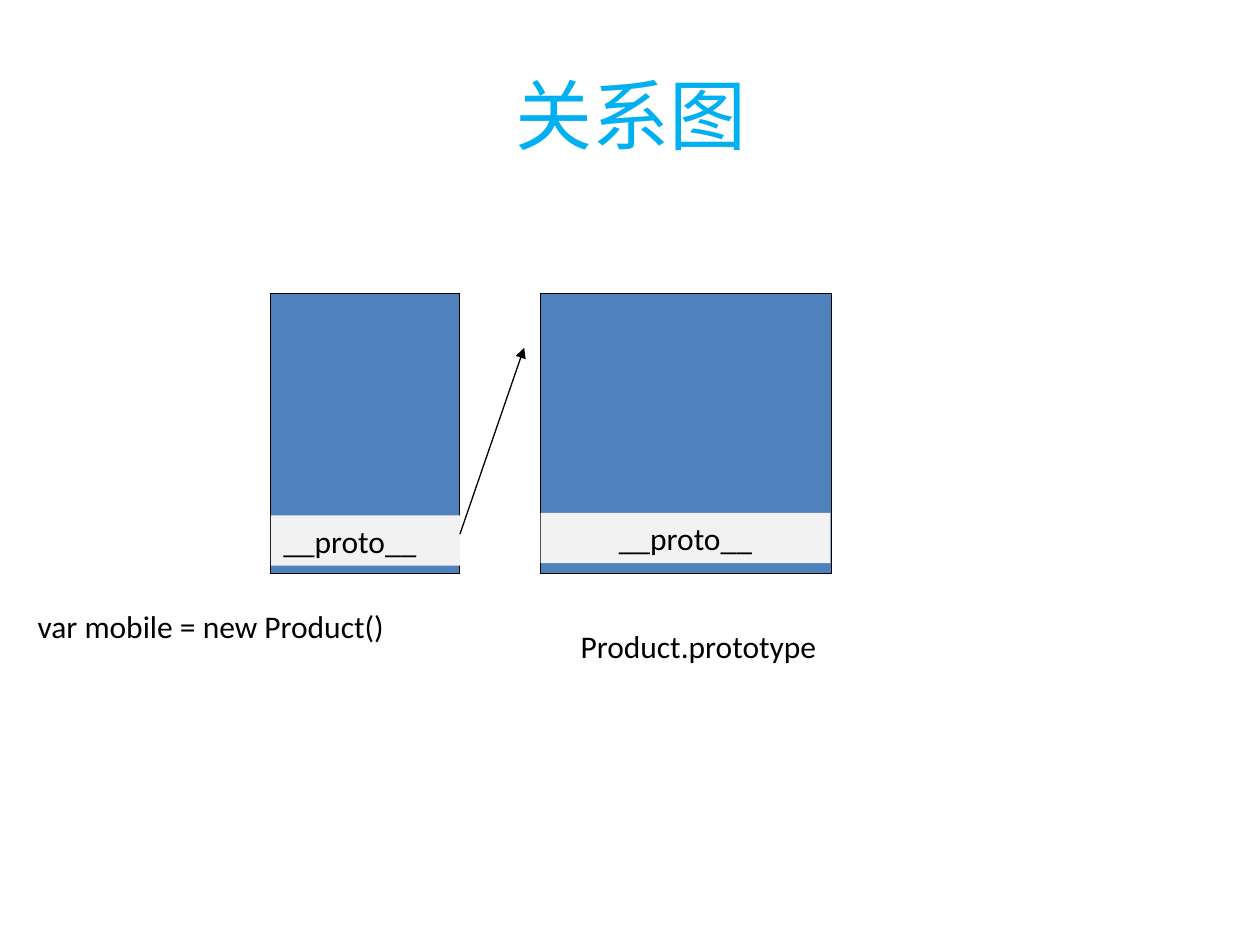
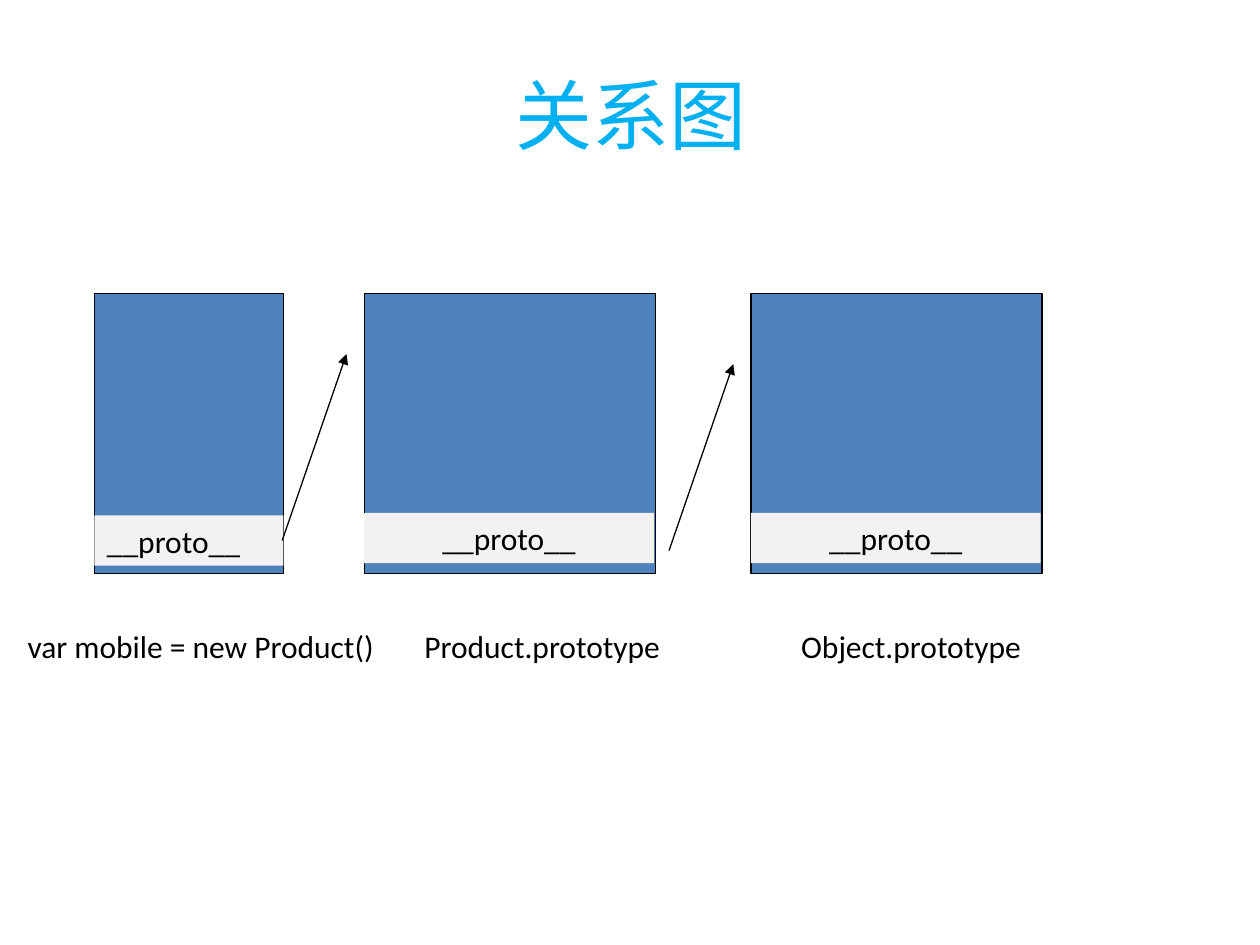
from pptx import Presentation
from pptx.dml.color import RGBColor
from pptx.enum.shapes import MSO_CONNECTOR, MSO_SHAPE
from pptx.enum.text import MSO_ANCHOR, MSO_AUTO_SIZE, PP_ALIGN
from pptx.oxml.ns import qn
from pptx.util import Inches, Pt
from lxml.etree import SubElement

# Content: each object is (kind, left, caption, caption left, caption top),
# each arrow is the point where it starts
TITLE = "关系图"
SLOT = "__proto__"
NEW_PRODUCT = "var mobile = new Product()"
DIAGRAMS = [
    {
        "objects": [
            ("instance", 2.15, NEW_PRODUCT, 0.2, 4.77),
            ("prototype", 4.29, "Product.prototype", 4.51, 4.93),
        ],
        "arrows": [(3.65, 4.24)],
    },
    {
        "objects": [
            ("instance", 0.75, NEW_PRODUCT, 0.12, 4.93),
            ("prototype", 2.89, "Product.prototype", 3.27, 4.93),
            ("prototype", 5.96, "Object.prototype", 6.26, 4.93),
        ],
        "arrows": [(2.24, 4.29), (5.31, 4.37)],
    },
]

# Shared look: kind -> (box width, slot width, slot top, slot alignment)
KINDS = {
    "instance": (1.5, 1.5, 4.09, PP_ALIGN.LEFT),
    "prototype": (2.31, 2.3, 4.07, PP_ALIGN.CENTER),
}
CAPTION_WIDTHS = {NEW_PRODUCT: 2.95, "Product.prototype": 2.07, "Object.prototype": 1.95}
BOX_TOP, BOX_HEIGHT = 2.33, 2.22
ROW_HEIGHT = 0.4
ARROW_RUN, ARROW_RISE = 0.51, 1.48
FONT = "Calibri"
SKY = RGBColor(0x00, 0xB0, 0xF0)
BLUE = RGBColor(0x4F, 0x81, 0xBD)
GREY = RGBColor(0xF2, 0xF2, 0xF2)
BLACK = RGBColor(0x00, 0x00, 0x00)


def write(shape, text, size, color, align):
    shape.text_frame.text = text
    paragraph = shape.text_frame.paragraphs[0]
    paragraph.alignment = align
    paragraph.font.name = FONT
    paragraph.font.size = Pt(size)
    paragraph.font.color.rgb = color


def add_title(slide):
    title = slide.shapes.title
    title.left, title.top = Inches(0.51), Inches(0.28)
    title.width, title.height = Inches(9), Inches(1.25)
    title.text_frame.vertical_anchor = MSO_ANCHOR.MIDDLE
    write(title, TITLE, 44, SKY, PP_ALIGN.CENTER)


def add_rectangle(slide, left, top, width, height, fill):
    rectangle = slide.shapes.add_shape(
        MSO_SHAPE.RECTANGLE, Inches(left), Inches(top), Inches(width), Inches(height))
    rectangle.shadow.inherit = False
    rectangle.fill.solid()
    rectangle.fill.fore_color.rgb = fill
    return rectangle


def add_object(slide, kind, left, caption_text, caption_left, caption_top):
    box_width, slot_width, slot_top, slot_align = KINDS[kind]
    # Object box
    box = add_rectangle(slide, left, BOX_TOP, box_width, BOX_HEIGHT, BLUE)
    box.line.color.rgb = BLACK
    box.line.width = Pt(0.75)
    # Slot that holds the link to the prototype
    slot = add_rectangle(slide, left, slot_top, slot_width, ROW_HEIGHT, GREY)
    slot.line.fill.background()
    write(slot, SLOT, 18, BLACK, slot_align)
    # Caption below the box
    caption = slide.shapes.add_textbox(
        Inches(caption_left), Inches(caption_top),
        Inches(CAPTION_WIDTHS[caption_text]), Inches(ROW_HEIGHT))
    caption.text_frame.word_wrap = False
    caption.text_frame.auto_size = MSO_AUTO_SIZE.SHAPE_TO_FIT_TEXT
    write(caption, caption_text, 18, BLACK, PP_ALIGN.LEFT)


def add_arrow(slide, x, y):
    arrow = slide.shapes.add_connector(
        MSO_CONNECTOR.STRAIGHT, Inches(x), Inches(y),
        Inches(x + ARROW_RUN), Inches(y - ARROW_RISE))
    arrow.line.color.rgb = BLACK
    arrow.line.width = Pt(0.75)
    properties = arrow.line._get_or_add_ln()
    SubElement(properties, qn("a:tailEnd"), type="triangle")
    SubElement(properties.getparent(), qn("a:effectLst"))


def main():
    deck = Presentation()
    deck.slide_width, deck.slide_height = Inches(10), Inches(7.5)
    title_only = deck.slide_layouts[5]
    for diagram in DIAGRAMS:
        slide = deck.slides.add_slide(title_only)
        add_title(slide)
        for item in diagram["objects"]:
            add_object(slide, *item)
        for start in diagram["arrows"]:
            add_arrow(slide, *start)
    deck.save("out.pptx")


if __name__ == "__main__":
    main()
